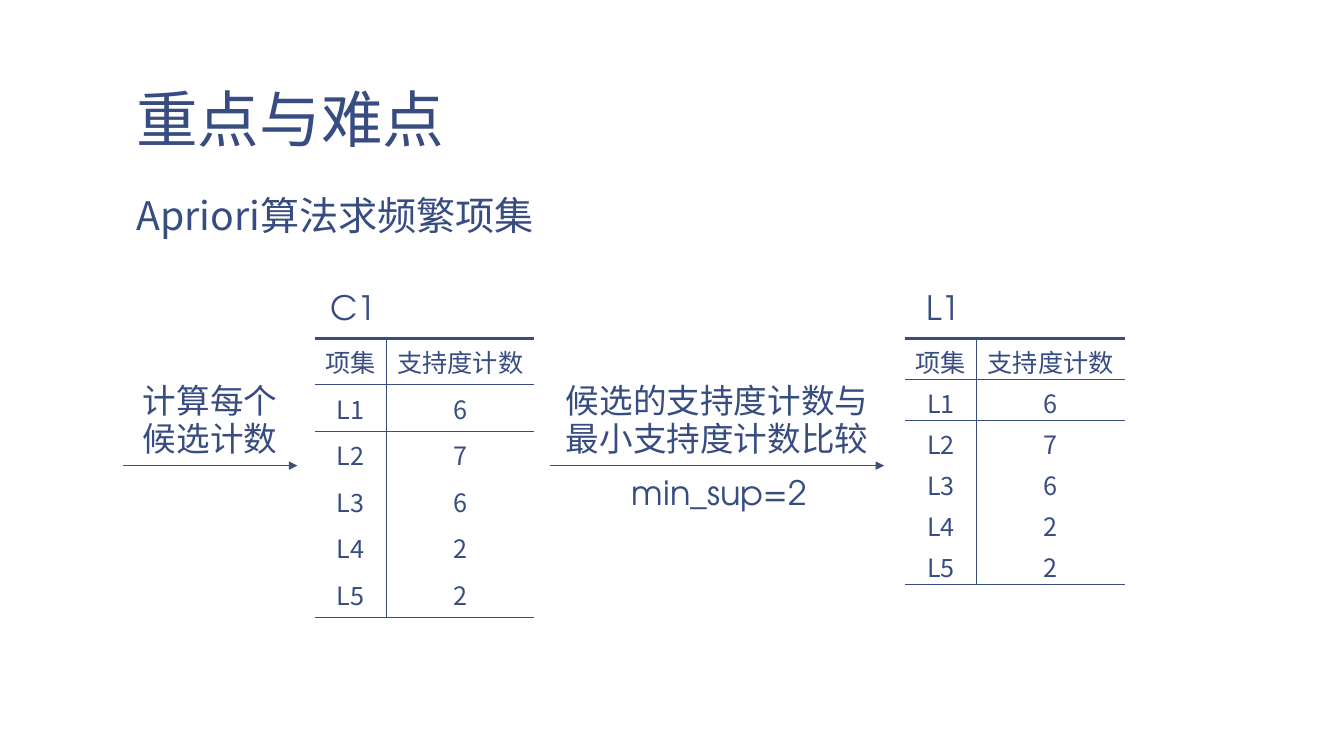
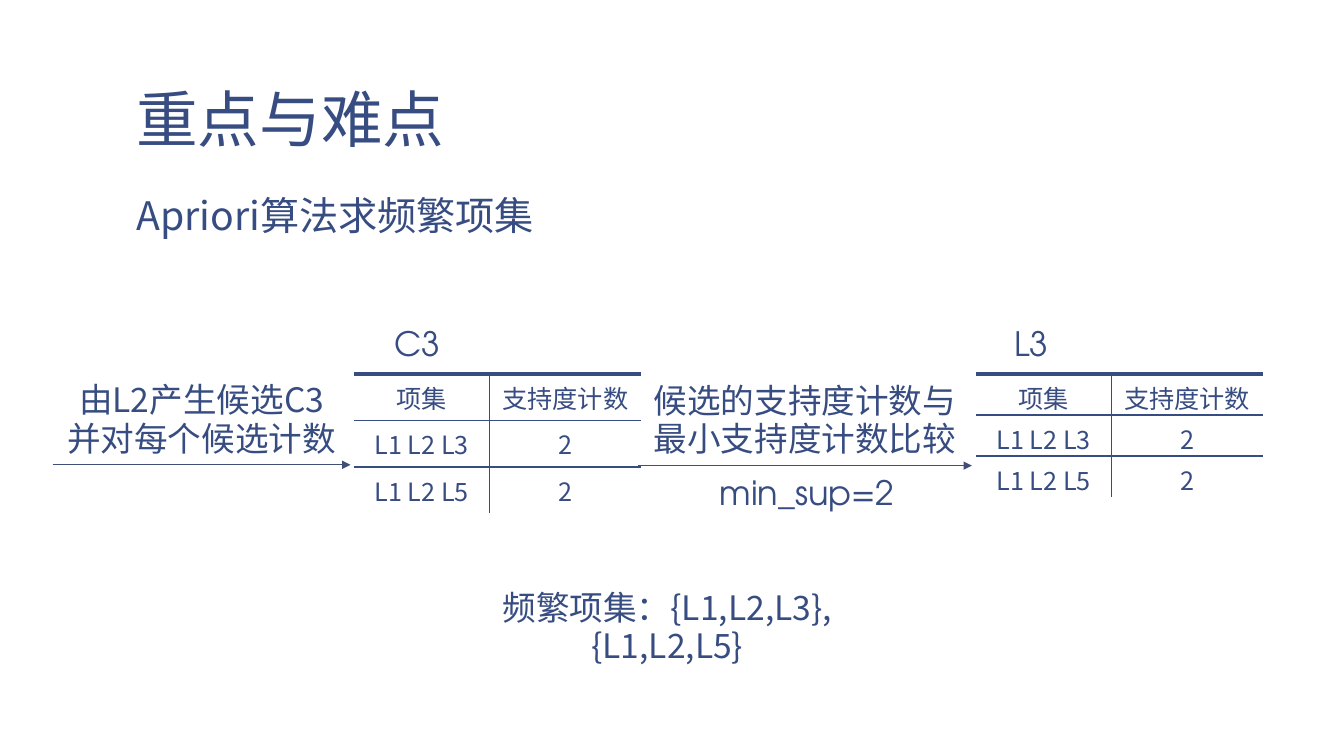
from lxml import etree
from pptx import Presentation
from pptx.dml.color import RGBColor
from pptx.enum import shapes, text
from pptx.oxml.ns import qn
from pptx.util import Pt

NAVY = RGBColor(0x37, 0x4C, 0x81)
SLATE = RGBColor(0x41, 0x4E, 0x77)
WHITE = RGBColor(0xFF, 0xFF, 0xFF)
SANS = "Noto Sans CJK SC"
GEOMETRIC = "TeX Gyre Adventor"
NO_GRID_STYLE = "{2D5ABB26-0587-4C30-8999-92F81FD0307C}"

LEFT = text.PP_ALIGN.LEFT
CENTER = text.PP_ALIGN.CENTER
LABEL_HEIGHT, CAPTION_HEIGHT = 62.6, 34.6
ARROW_Y = 332.6
COMPARE_WIDTH = 238.4
HEADER = ("项集", "支持度计数")


class Deck:
    def __init__(self):
        self.presentation = Presentation()
        self.presentation.slide_width = Pt(960)
        self.presentation.slide_height = Pt(540)
        self.slide = None

    def new_slide(self):
        self.slide = self.presentation.slides.add_slide(self.presentation.slide_layouts[6])
        background = self.slide.background.fill
        background.solid()
        background.fore_color.rgb = WHITE
        self.text_box("重点与难点", 88, 5.8, 800, 110, size=44, align=LEFT, spacing=0.85,
                      anchor=text.MSO_ANCHOR.BOTTOM, insets=(9.4, 5))
        self.text_box("Apriori算法求频繁项集", 88, 134, 800, 60, size=28, align=LEFT,
                      insets=(9.4, 5))

    def add_text(self, paragraph, words, size, font=SANS, align=CENTER):
        paragraph.alignment = align
        run = paragraph.add_run()
        run.text = words
        for name, value in {"size": Pt(size), "name": font}.items():
            setattr(run.font, name, value)
        run.font.color.rgb = NAVY
        etree.SubElement(run._r.get_or_add_rPr(), qn("a:ea"), typeface=font)

    def text_box(self, words, left, top, width, height, size=24, font=SANS, align=CENTER,
                 spacing=0.95, anchor=text.MSO_ANCHOR.TOP, insets=(7.2, 3.6)):
        shape = self.slide.shapes.add_textbox(Pt(left), Pt(top), Pt(width), Pt(height))
        frame = shape.text_frame
        across, down = map(Pt, insets)
        frame_format = {"word_wrap": True, "vertical_anchor": anchor,
                        "margin_left": across, "margin_right": across,
                        "margin_top": down, "margin_bottom": down}
        for name, value in frame_format.items():
            setattr(frame, name, value)
        paragraph = frame.paragraphs[0]
        paragraph.line_spacing = spacing
        self.add_text(paragraph, words, size, font, align)

    def caption(self, words, left, top, width=79.2):
        self.text_box(words, left, top, width, CAPTION_HEIGHT, font=GEOMETRIC)

    def labelled_arrow(self, words, left, width, y=ARROW_Y):
        self.text_box(words, left, y - LABEL_HEIGHT, width, LABEL_HEIGHT)
        arrow = self.slide.shapes.add_connector(
            shapes.MSO_CONNECTOR.STRAIGHT, Pt(left), Pt(y), Pt(left + width), Pt(y))
        arrow.line.color.rgb = SLATE
        arrow.line.width = Pt(1)
        properties = arrow._element.spPr
        etree.SubElement(properties.find(qn("a:ln")), qn("a:tailEnd"), type="triangle")
        etree.SubElement(properties, qn("a:effectLst"))

    def compare_arrow(self, left):
        self.labelled_arrow("候选的支持度计数与最小支持度计数比较", left, COMPARE_WIDTH)
        self.caption("min_sup=2", left + 44, 335.5, 153.4)

    def cell_borders(self, cell, widths):
        """Draw the sides in widths (L, R, T, B order), given in points."""
        properties = cell._tc.get_or_add_tcPr()
        for side, width in widths.items():
            if width:
                line = etree.SubElement(properties, qn(f"a:ln{side}"), w=str(int(Pt(width))))
                fill = etree.SubElement(line, qn("a:solidFill"))
                etree.SubElement(fill, qn("a:srgbClr"), val=str(NAVY))

    def item_table(self, title, rows, left, top, columns, title_shift, row_height,
                   bottom_margin, closed):
        """Add a titled support-count table; closed draws its bottom line."""
        self.caption(title, left + title_shift, top - 38.2)
        rows = [HEADER, *rows]
        frame = self.slide.shapes.add_table(
            len(rows), len(columns), Pt(left), Pt(top),
            Pt(sum(columns)), Pt(row_height * len(rows)))
        table = frame.table
        table.first_row = table.horz_banding = False
        table._tbl.tblPr.find(qn("a:tableStyleId")).text = NO_GRID_STYLE
        for column, width in zip(table.columns, columns):
            column.width = Pt(width)
        last = len(rows) - 1
        for i, row in enumerate(rows):
            table.rows[i].height = Pt(row_height)
            for j, words in enumerate(row):
                cell = table.cell(i, j)
                cell.margin_bottom = Pt(bottom_margin)
                self.add_text(cell.text_frame.paragraphs[0], words, 18)
                self.cell_borders(cell, {
                    "L": 1 if j == 1 else 0,
                    "R": 1 if j == 0 else 0,
                    "T": {0: 3, 1: 1}.get(i, 0),
                    "B": 1 if i == 0 or (closed and i == last) else 0})
                cell.fill.background()

    def table_pair(self, titles, rows, lefts, shifts, top, columns, closed):
        """Add the candidate table and the tighter frequent-set table."""
        for title, left, shift, height, margin in zip(
                titles, lefts, shifts, (33.2, 29.3), (3.6, 0)):
            self.item_table(title, rows, left, top, columns, shift, height, margin, closed)


def main():
    deck = Deck()

    deck.new_slide()
    deck.labelled_arrow("计算每个候选计数", 87.8, 124.6)
    deck.compare_arrow(393.1)
    counts = [("L1", "6"), ("L2", "7"), ("L3", "6"), ("L4", "2"), ("L5", "2")]
    deck.table_pair(("C1", "L1"), counts, (224.8, 646.5), (-12.2, -12.2), 241.7,
                    (51.1, 105.8), closed=True)

    deck.new_slide()
    deck.labelled_arrow("由L2产生候选C3并对每个候选计数", 37.6, 212.8, 332)
    deck.compare_arrow(455.8)
    counts = [("L1 L2 L3", "2"), ("L1 L2 L5", "2")]
    deck.table_pair(("C3", "L3"), counts, (252.8, 697), (5.8, 0), 267.2,
                    (97, 107.9), closed=False)
    deck.text_box("频繁项集：{L1,L2,L3},{L1,L2,L5}", 305.3, 417.6, 342.7, LABEL_HEIGHT)

    deck.presentation.save("out.pptx")


if __name__ == "__main__":
    main()
